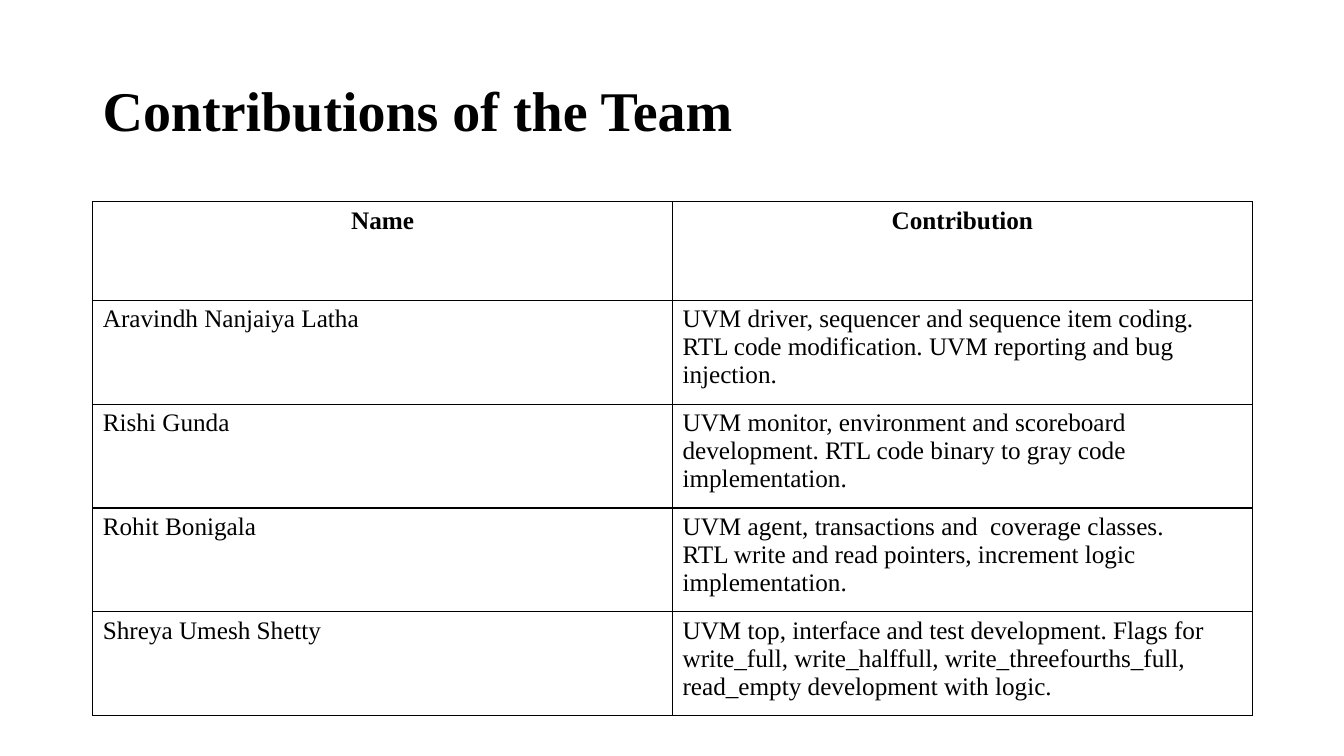
from pptx import Presentation
from pptx.dml.color import RGBColor
from pptx.enum.text import MSO_ANCHOR as ANCHOR, PP_ALIGN as ALIGN
from pptx.oxml import parse_xml
from pptx.oxml.ns import nsdecls
from pptx.util import Inches, Pt

# Content: \v breaks a line, \n starts a paragraph
TITLE = "Contributions of the Team"
ROWS = [
    ("Name", "Contribution"),
    ("Aravindh Nanjaiya Latha",
     "UVM driver, sequencer and sequence item coding.\v"
     "RTL code modification. UVM reporting and bug injection."),
    ("Rishi Gunda",
     "UVM monitor, environment and scoreboard development. "
     "RTL code binary to gray code implementation."),
    ("Rohit Bonigala",
     "UVM agent, transactions and  coverage classes.\n"
     "RTL write and read pointers, increment logic implementation."),
    ("Shreya Umesh Shetty",
     "UVM top, interface and test development. Flags for write_full, "
     "write_halffull, write_threefourths_full, read_empty development with logic."),
]
COLORS = {"text": "000000", "border": "000000", "background": "FFFFFF"}
FONT = "Times New Roman"
LEFT, WIDTH = 0.92, 11.5
TABLE_TOP, HEADER_H, ROW_H = 2, 0.98, 1.03


def style(p, size, bold):
    p.font.name = FONT
    p.font.size = Pt(size)
    p.font.bold = bold
    p.font.color.rgb = RGBColor.from_string(COLORS["text"])


def add_borders(cell):
    tc_pr = cell._tc.get_or_add_tcPr()
    for side in ("lnL", "lnR", "lnT", "lnB"):
        tc_pr.append(parse_xml(
            f'<a:{side} {nsdecls("a")} w="{Pt(1)}"><a:solidFill>'
            f'<a:srgbClr val="{COLORS["border"]}"/></a:solidFill></a:{side}>'))


prs = Presentation()
prs.slide_width, prs.slide_height = Inches(13.33), Inches(7.5)
s = prs.slides.add_slide(prs.slide_layouts[6])
s.background.fill.solid()
s.background.fill.fore_color.rgb = RGBColor.from_string(COLORS["background"])

# Title
tf = s.shapes.add_textbox(Inches(LEFT), Inches(0.4), Inches(WIDTH), Inches(1.45)).text_frame
tf.word_wrap = True
tf.vertical_anchor = ANCHOR.MIDDLE
p = tf.paragraphs[0]
p.text = TITLE
p.line_spacing = 0.9
style(p, 40, True)

# Contributions table
cols = len(ROWS[0])
heights = [HEADER_H] + [ROW_H] * (len(ROWS) - 1)
table = s.shapes.add_table(len(ROWS), cols, Inches(LEFT), Inches(TABLE_TOP),
                           Inches(WIDTH), Inches(sum(heights))).table
table.horz_banding = False
for col in table.columns:
    col.width = Inches(WIDTH / cols)

for i, (texts, height) in enumerate(zip(ROWS, heights)):
    header = i == 0
    table.rows[i].height = Inches(height)
    for j, text in enumerate(texts):
        cell = table.cell(i, j)
        cell.text = text
        add_borders(cell)
        cell.fill.background()
        for p in cell.text_frame.paragraphs:
            style(p, 18, header)
            p.alignment = ALIGN.CENTER if header else ALIGN.LEFT

prs.save("out.pptx")
